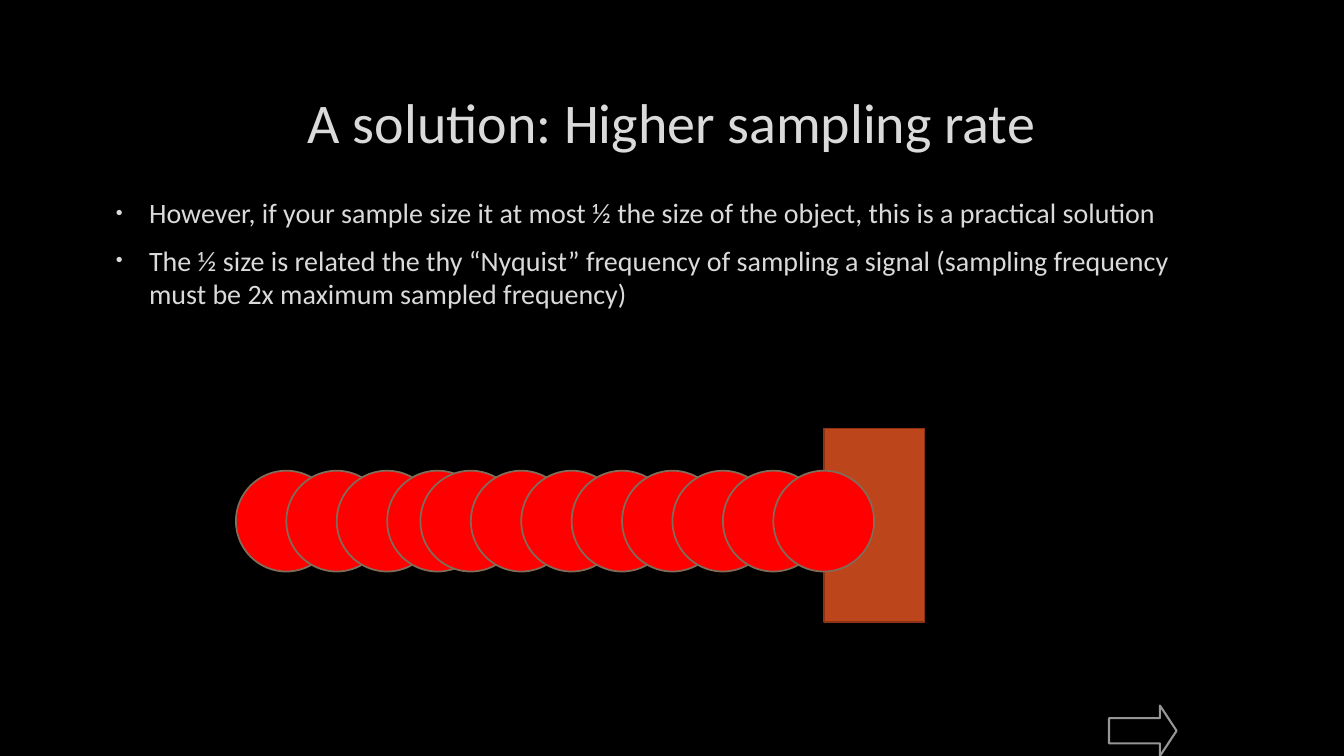
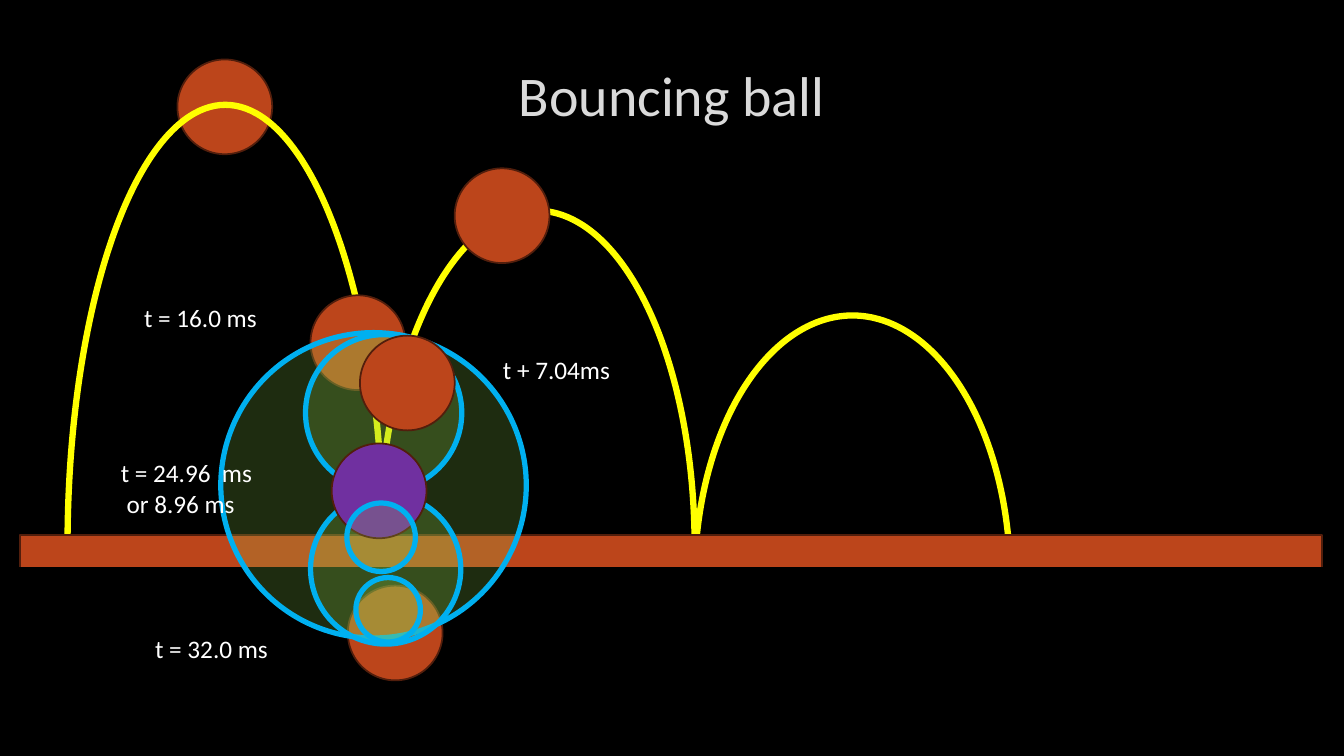
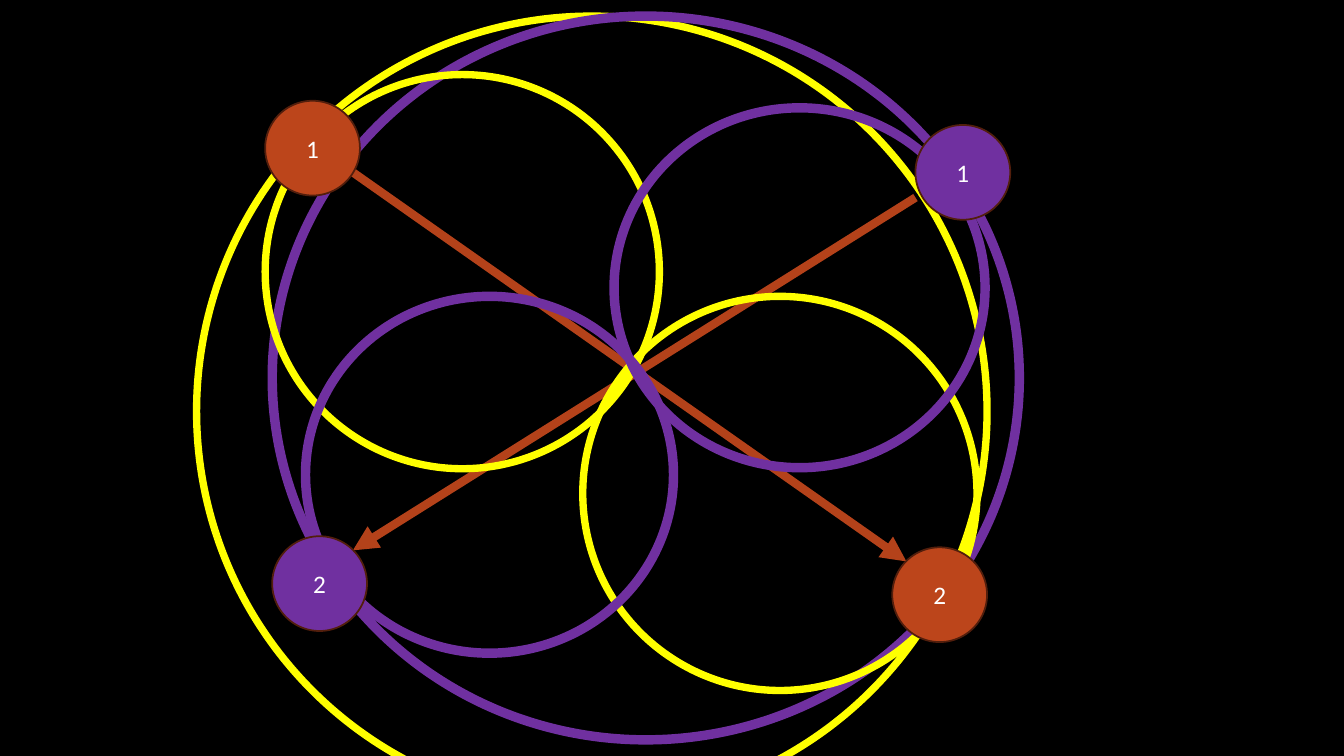
from dataclasses import dataclass
from typing import Optional

from lxml import etree
from pptx import Presentation
from pptx.dml.color import RGBColor
from pptx.enum.shapes import MSO_CONNECTOR, MSO_SHAPE
from pptx.enum.text import MSO_ANCHOR, PP_ALIGN
from pptx.oxml.ns import qn
from pptx.util import Inches, Pt

OVAL, RECT, ARROW = MSO_SHAPE.OVAL, MSO_SHAPE.RECTANGLE, MSO_SHAPE.RIGHT_ARROW
STRAIGHT = MSO_CONNECTOR.STRAIGHT
CENTER, LEFT = PP_ALIGN.CENTER, PP_ALIGN.LEFT
MIDDLE, TOP = MSO_ANCHOR.MIDDLE, MSO_ANCHOR.TOP

# Shared look
FONT = "Calibri"
BLACK, WHITE, PALE = "000000", "FFFFFF", "DADADA"
RUST, RUST_EDGE, BAR_EDGE, BEAM = "BC451B", "521E0C", "8B3314", "B4421A"
RED, RED_EDGE, GREY = "FF0000", "806C58", "969696"
YELLOW, PURPLE, GREEN, BLUE = "FFFF00", "7030A0", "92D050", "00B0F0"
BALL = 0.94
TITLE = {"size": Pt(40), "color": PALE}
BODY = {"size": Pt(20), "color": PALE}
LABEL = {"size": Pt(18), "color": WHITE}


@dataclass
class Style:
    line: str
    weight: float
    fill: Optional[str] = None
    alpha: Optional[int] = None


@dataclass
class Item:
    left: float
    top: float
    width: float
    height: float
    style: Style
    kind: int = OVAL
    text: str = ""


RUST_BALL = Style(RUST_EDGE, 1.25, RUST)
PURPLE_BALL = Style(RUST_EDGE, 1.25, PURPLE)
SAMPLE = Style(RED_EDGE, 1.25, RED)
PATH_CURVE = Style(YELLOW, 4.5)
ZONE = Style(BLUE, 3.75, GREEN, 21)
YELLOW_RING = Style(YELLOW, 5.25)
PURPLE_RING = Style(PURPLE, 6.75)


def rgb(color: str) -> RGBColor:
    return RGBColor.from_string(color)


def write(tf, lines: list[str], fmt: dict, align=LEFT, anchor=TOP) -> None:
    tf.word_wrap = True
    tf.vertical_anchor = anchor
    for i, line in enumerate(lines):
        p = tf.paragraphs[0] if i == 0 else tf.add_paragraph()
        p.alignment = align
        r = p.add_run()
        r.text = line
        r.font.name = FONT
        for name, value in fmt.items():
            if name == "color":
                r.font.color.rgb = rgb(value)
            else:
                setattr(r.font, name, value)


def add_text(s, box: tuple, lines: list[str], fmt: dict, align=LEFT, anchor=TOP):
    tf = s.shapes.add_textbox(*map(Inches, box)).text_frame
    write(tf, lines, fmt, align, anchor)
    return tf


def add_title(s, text: str, top: float) -> None:
    add_text(s, (1, top, 11.32, 1.06), [text], TITLE, CENTER, MIDDLE)


def add_bullets(s, box: tuple, lines: list[str]) -> None:
    tf = add_text(s, box, lines, BODY)
    for p in tf.paragraphs:
        p.space_before, p.space_after = Pt(4), Pt(6)
        props = p._p.get_or_add_pPr()
        props.set("marL", str(Inches(0.38)))
        props.set("indent", str(Inches(-0.33)))
        color = etree.SubElement(props, qn("a:buClr"))
        etree.SubElement(color, qn("a:srgbClr"), val=PALE)
        etree.SubElement(props, qn("a:buSzPct"), val="70000")
        etree.SubElement(props, qn("a:buFont"), typeface="Arial")
        etree.SubElement(props, qn("a:buChar"), char="•")


def add_item(s, item: Item):
    box = (item.left, item.top, item.width, item.height)
    sp = s.shapes.add_shape(item.kind, *map(Inches, box))
    sp.shadow.inherit = False
    style = item.style
    sp.line.color.rgb = rgb(style.line)
    sp.line.width = Pt(style.weight)
    if style.fill:
        sp.fill.solid()
        sp.fill.fore_color.rgb = rgb(style.fill)
    else:
        sp.fill.background()
    if style.alpha is not None:
        color = sp._element.spPr.find(qn("a:solidFill")).find(qn("a:srgbClr"))
        etree.SubElement(color, qn("a:alpha"), val=str(style.alpha * 1000))
    if item.text:
        write(sp.text_frame, [item.text], LABEL, CENTER, MIDDLE)
    return sp


def ball(left: float, top: float, style: Style = RUST_BALL, text: str = "") -> Item:
    return Item(left, top, BALL, BALL, style, text=text)


def circle(left: float, top: float, size: float, style: Style) -> Item:
    return Item(left, top, size, size, style)


def add_items(s, items: list[Item]) -> None:
    for item in items:
        add_item(s, item)


def add_beam(s, start: tuple, end: tuple) -> None:
    line = s.shapes.add_connector(STRAIGHT, *map(Inches, start + end))
    line.line.color.rgb = rgb(BEAM)
    line.line.width = Pt(6)
    etree.SubElement(line.line._get_or_add_ln(), qn("a:tailEnd"), type="triangle")
    etree.SubElement(line._element.spPr, qn("a:effectLst"))


def new_slide(prs):
    s = prs.slides.add_slide(prs.slide_layouts[6])
    s.background.fill.solid()
    s.background.fill.fore_color.rgb = rgb(BLACK)
    return s


def sampling_slide(prs) -> None:
    s = new_slide(prs)
    add_title(s, "A solution: Higher sampling rate", 0.67)
    add_bullets(s, (1, 1.89, 11.32, 4.44), [
        "However, if your sample size it at most ½ the size of the object, "
        "this is a practical solution",
        "The ½ size is related the thy “Nyquist” frequency of sampling a signal "
        "(sampling frequency must be 2x maximum sampled frequency)",
    ])
    arrow = add_item(s, Item(11, 7, 0.67, 0.5, Style(GREY, 1.5), ARROW))
    arrow.adjustments[0], arrow.adjustments[1] = 0.5, 0.33
    add_item(s, Item(8.17, 4.25, 1, 1.92, Style(BAR_EDGE, 1.25, RUST), RECT))
    # Two runs of samples, half a diameter apart
    for first, count in ((2.34, 4), (4.17, 8)):
        add_items(s, [circle(first + 0.5 * i, 4.67, 1, SAMPLE) for i in range(count)])


def bouncing_slide(prs) -> None:
    s = new_slide(prs)
    add_title(s, "Bouncing ball", 0.4)
    add_item(s, ball(1.76, 0.59))
    # Bounces, with the part below the floor masked
    for left, top, height in ((0.67, 1.04, 8.75), (3.76, 2.09, 6.66), (6.89, 3.13, 5.23)):
        add_item(s, Item(left, top, 3.13, height, PATH_CURVE))
    add_items(s, [
        Item(0.2, 5.31, 12.91, 0.32, RUST_BALL, RECT),
        Item(0, 5.63, 13.33, 1.87, Style(BLACK, 1.25, BLACK), RECT),
        # Balls and search zones
        ball(3.08, 2.93),
        ball(3.45, 5.81),
        circle(2.19, 3.3, 3.03, ZONE),
        circle(3.03, 3.32, 1.55, ZONE),
        circle(3.08, 4.9, 1.49, ZONE),
        ball(3.29, 4.4, PURPLE_BALL),
    ])
    # Time labels
    for box, lines in (
        ((1.33, 2.95, 1.42, 0.4), ["t = 16.0 ms"]),
        ((1.44, 6.23, 1.42, 0.4), ["t = 32.0 ms"]),
        ((1.1, 4.49, 1.71, 0.71), ["t = 24.96  ms", " or 8.96 ms"]),
        ((4.89, 3.47, 1.71, 0.4), ["t + 7.04ms"]),
    ):
        add_text(s, box, lines, LABEL)
    add_items(s, [
        ball(3.57, 3.33),
        ball(4.51, 1.67),
        circle(3.44, 4.99, 0.68, ZONE),
        circle(3.53, 5.73, 0.64, ZONE),
    ])


def crossing_slide(prs) -> None:
    s = new_slide(prs)
    add_beam(s, (3.5, 1.71), (8.99, 5.57))
    add_beam(s, (9.08, 1.96), (3.5, 5.46))
    # Search rings
    add_items(s, [
        circle(1.95, 0.16, 7.84, YELLOW_RING),
        Item(2.7, 0.16, 7.41, 7.18, PURPLE_RING),
        circle(2.63, 0.74, 3.91, YELLOW_RING),
        circle(5.78, 2.94, 3.91, YELLOW_RING),
        Item(3.03, 2.94, 3.65, 3.54, PURPLE_RING),
        Item(6.09, 1.07, 3.68, 3.57, PURPLE_RING),
    ])
    # Numbered balls in front of the rings, so the digits stay readable
    add_items(s, [
        ball(2.63, 1, RUST_BALL, "1"),
        ball(9.08, 1.24, PURPLE_BALL, "1"),
        ball(8.85, 5.43, RUST_BALL, "2"),
        ball(2.7, 5.32, PURPLE_BALL, "2"),
    ])


def main() -> None:
    prs = Presentation()
    prs.slide_width, prs.slide_height = Inches(13.33), Inches(7.5)
    for build in (sampling_slide, bouncing_slide, crossing_slide):
        build(prs)
    prs.save("out.pptx")


if __name__ == "__main__":
    main()
